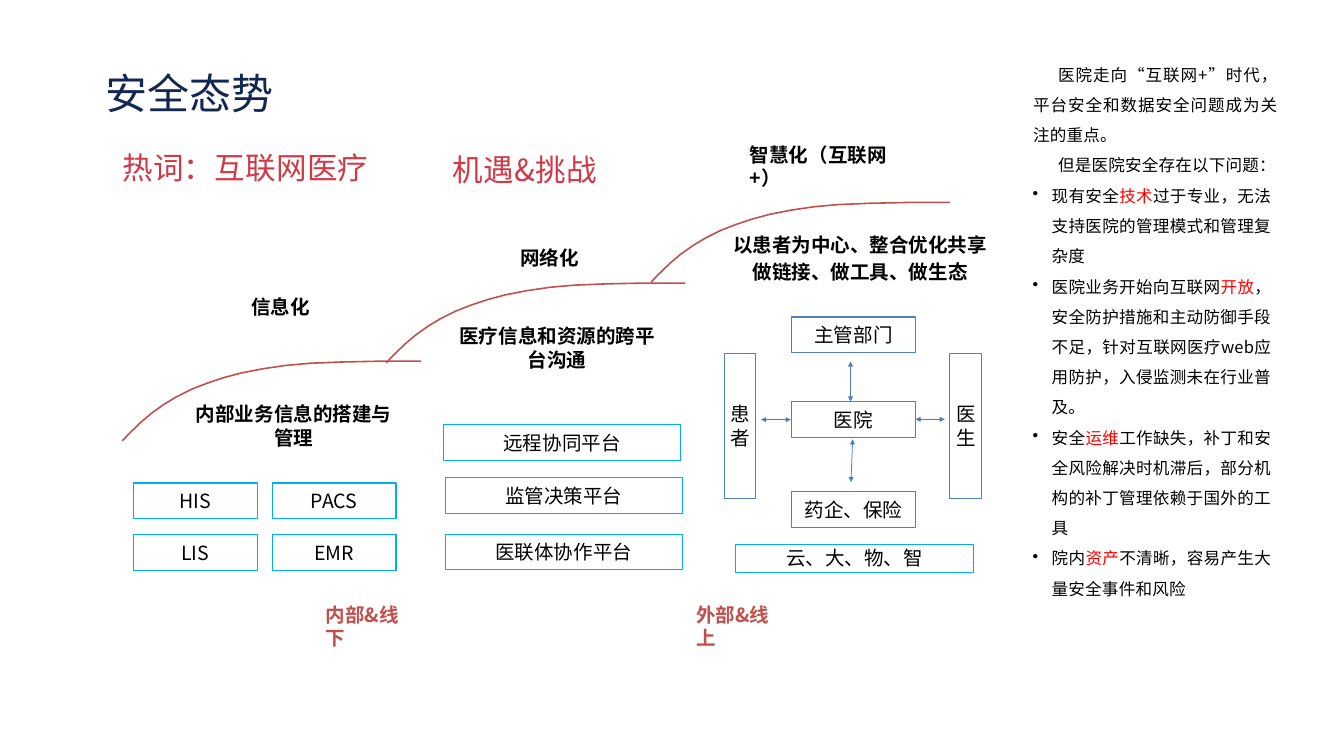
"""Builds the hospital security situation slide."""
from lxml import etree
from pptx import Presentation
from pptx.dml.color import RGBColor
from pptx.enum.shapes import MSO_CONNECTOR, MSO_SHAPE
from pptx.enum.text import MSO_ANCHOR, PP_ALIGN
from pptx.oxml.ns import qn
from pptx.util import Pt

LEFT, MID, JUST = PP_ALIGN.LEFT, PP_ALIGN.CENTER, PP_ALIGN.JUSTIFY
TOP, CENTER = MSO_ANCHOR.TOP, MSO_ANCHOR.MIDDLE
RECT, LINE = MSO_SHAPE.RECTANGLE, MSO_CONNECTOR.STRAIGHT
SANS, TRAD = "Noto Sans CJK SC", "Noto Sans CJK TC"
HEX = {"navy": "122752", "rose": "D23947", "brick": "C0504D", "black": "000000",
       "red": "FF0000", "cyan": "00AFEF", "blue": "4F81BC", "arrow": "497DBA"}
TRACK = {36: 30, 19.5: 20}

TITLE = ("安全态势", (124.5, 79, 200, 61))
WORDS = [
    ("热词：互联网医疗", (144, 175, 292, 45), 36, "rose"),
    ("机遇&挑战", (533.5, 178, 178.5, 90), 36, "rose"),
]
STAGES = [
    ("信息化", (296, 347.5, 72, 30)),
    ("网络化", (613, 290, 72, 30)),
    ("智慧化（互联网+）", (883.5, 168, 180, 58)),
]
GOALS = [
    ("内部业务信息的搭建与 管理", (229.5, 474, 233, 58), 1),
    ("医疗信息和资源的跨平 台沟通", (540, 382, 233, 58), 1),
    ("以患者为中心、整合优化共享 做链接、做工具、做生态", (862.5, 270, 302, 66), 1.15),
]
SCOPES = [
    ("内部&线下", (383.5, 710.5, 106, 58)),
    ("外部&线上", (820, 710.5, 106, 58)),
]
SYSTEMS = [["HIS", "PACS"], ["LIS", "EMR"]]
BASES = [
    ("远程协同平台", (522.5, 500.5, 279.5, 42)),
    ("监管决策平台", (524.5, 562.5, 279.5, 42)),
    ("医联体协作平台", (524.5, 629.5, 279.5, 42)),
    ("云、大、物、智", (867, 641, 279.5, 33)),
]
PARTIES = [
    ("主管部门", (932.5, 373.5, 146, 42)),
    ("医院", (932.5, 473.5, 146, 42)),
    ("药企、保险", (932.5, 579.5, 146, 42)),
    ("患 者", (853, 416, 37.5, 171.5)),
    ("医 生", (1119, 416, 37.5, 171.5)),
]
ARROWS = [
    (1002, 426, 1002, 473),
    (1004.5, 517.5, 1002.5, 568),
    (896.5, 494.5, 931.5, 494.5),
    (1078.5, 494, 1113, 494),
]
STARTS = [(144, 425.5), (455, 333.5), (767, 238.5)]
CURVE = [(0, 94), (8, 85.5), (22, 72), (35, 61), (49, 51), (64, 42), (82, 33),
         (100, 26), (119.5, 19.5), (140, 14), (165.5, 9), (193, 5), (221, 2.5),
         (258, 1), (305, 0), (352, 0)]
INTRO = [
    ("医院走向“互联网+”时代， 平台安全和数据安全问题成为关 注的重点。", JUST),
    ("但是医院安全存在以下问题：", LEFT),
]
ISSUES = [
    ("现有安全", "技术", "过于专业，无法 支持医院的管理模式和管理复 杂度"),
    ("医院业务开始向互联网", "开放",
     "， 安全防护措施和主动防御手段 不足，针对互联网医疗web应 用防护，入侵监测未在行业普 及。"),
    ("安全", "运维", "工作缺失，补丁和安 全风险解决时机滞后，部分机 构的补丁管理依赖于国外的工 具"),
    ("院内", "资产", "不清晰，容易产生大 量安全事件和风险"),
]

deck = Presentation()
deck.slide_width, deck.slide_height = Pt(1583.28), Pt(890.64)
slide = deck.slides.add_slide(deck.slide_layouts[5])
shapes = slide.shapes


def rgb(name):
    return RGBColor.from_string(HEX[name])


def add_run(para, text, size, color="black", bold=False, face=SANS):
    run = para.add_run()
    run.text = text
    font = run.font
    font.size, font.bold, font.name = Pt(size), bold, face
    font.color.rgb = rgb(color)
    props = run._r.get_or_add_rPr()
    props.set("spc", str(TRACK.get(size, 0)))
    etree.SubElement(props, qn("a:ea")).set("typeface", face)


def set_frame(shape, anchor=TOP):
    frame = shape.text_frame
    frame.word_wrap = True
    frame.vertical_anchor = anchor
    frame.margin_left = frame.margin_right = 0
    frame.margin_top = frame.margin_bottom = 0
    return frame


def add_frame(box):
    return set_frame(shapes.add_textbox(*map(Pt, box)))


def add_label(text, box, size, color="black", bold=False, align=LEFT, gap=1, face=SANS):
    para = add_frame(box).paragraphs[0]
    para.alignment, para.line_spacing = align, gap
    add_run(para, text, size, color, bold, face)


def add_box(text, box, color):
    shape = shapes.add_shape(RECT, *map(Pt, box))
    shape.shadow.inherit = False
    shape.fill.background()
    shape.line.color.rgb, shape.line.width = rgb(color), Pt(1.29)
    para = set_frame(shape, CENTER).paragraphs[0]
    para.alignment = MID
    add_run(para, text, 23)


def add_curve(left, top):
    points = [(Pt(left + x), Pt(top + y)) for x, y in CURVE]
    pen = shapes.build_freeform(*points[0])
    pen.add_line_segments(points[1:], close=False)
    shape = pen.convert_to_shape()
    shape.shadow.inherit = False
    shape.fill.background()
    shape.line.color.rgb, shape.line.width = rgb("brick"), Pt(1.88)


def add_arrow(ends):
    link = shapes.add_connector(LINE, *map(Pt, ends))
    link.line.color.rgb, link.line.width = rgb("arrow"), Pt(0.9)
    for tag in ("a:headEnd", "a:tailEnd"):
        etree.SubElement(link.line._get_or_add_ln(), qn(tag)).set("type", "triangle")
    etree.SubElement(link._element.spPr, qn("a:effectLst"))


def add_para(frame, first, align, left, indent):
    para = frame.paragraphs[0] if first else frame.add_paragraph()
    para.alignment, para.line_spacing = align, 1.52
    props = para._p.get_or_add_pPr()
    props.set("marL", str(Pt(left)))
    props.set("indent", str(Pt(indent)))
    return para


text, box = TITLE
title = shapes.title
title.left, title.top, title.width, title.height = map(Pt, box)
para = set_frame(title).paragraphs[0]
para.alignment = LEFT
add_run(para, text, 49.5, "navy")

for start in STARTS:
    add_curve(*start)
for word in WORDS:
    add_label(*word)
for text, box in STAGES:
    add_label(text, box, 23, bold=True)
for text, box, gap in GOALS:
    add_label(text, box, 23, bold=True, align=MID, gap=gap)
for text, box in SCOPES:
    add_label(text, box, 23, "brick", True, face=TRAD)

for row, names in enumerate(SYSTEMS):
    for col, name in enumerate(names):
        add_box(name, (157 + 163.5 * col, 569 + 61 * row, 146, 42), "cyan")
for text, box in BASES:
    add_box(text, box, "cyan")
for text, box in PARTIES:
    add_box(text, box, "blue")
for ends in ARROWS:
    add_arrow(ends)

frame = add_frame((1216, 64, 289, 145))
for i, (text, align) in enumerate(INTRO):
    add_run(add_para(frame, i == 0, align, 1, 29.5), text, 19.5)

frame = add_frame((1216, 207, 281.5, 500))
for i, parts in enumerate(ISSUES):
    para = add_para(frame, i == 0, JUST, 23, -22.5)
    etree.SubElement(para._p.pPr, qn("a:buChar")).set("char", "•")
    for text, color in zip(parts, ("black", "red", "black")):
        add_run(para, text, 19.5, color)

deck.save("out.pptx")
